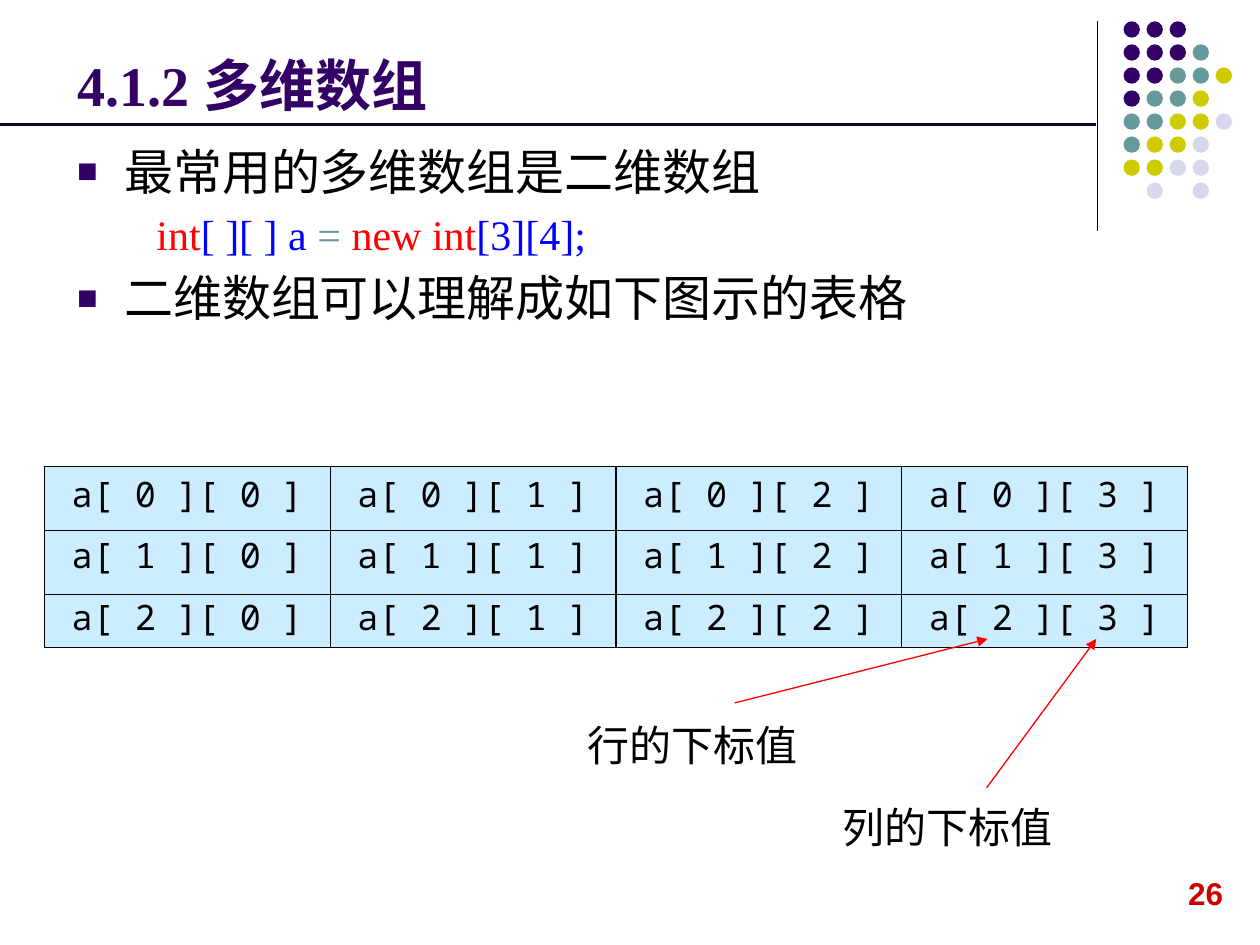
"""Build the slide on multidimensional arrays."""

from lxml.etree import SubElement
from pptx import Presentation
from pptx.dml.color import RGBColor
from pptx.enum.shapes import MSO_CONNECTOR, MSO_SHAPE
from pptx.enum.text import MSO_ANCHOR, MSO_AUTO_SIZE, PP_ALIGN
from pptx.oxml.ns import qn
from pptx.util import Cm, Pt

COLORS = {
    "purple": "330066", "teal": "669999", "olive": "CCCC00", "lavender": "D8D8EC",
    "black": "000000", "rule": "190033", "cell": "CCECFF",
    "red": "FF0000", "blue": "0000FF", "number": "CC0000",
}
SERIF, SANS, MONO, CHINESE = "Times New Roman", "Arial", "Noto Sans Mono", "Noto Sans CJK SC"
DOT_ROWS = ["PPP", "PPPT", "PPTTY", "PTTY", "TTYYL", "TYYL", "YYLL", " L L"]
DOT_COLORS = {"P": "purple", "T": "teal", "Y": "olive", "L": "lavender"}
CODE = [("int", "red"), ("[ ][ ] a ", "blue"), ("= ", "teal"), ("new int", "red"), ("[3][4];", "blue")]


class SlideBuilder:
    def __init__(self, presentation):
        self.slide = presentation.slides.add_slide(presentation.slide_layouts[1])

    def color(self, name):
        return RGBColor.from_string(COLORS[name])

    def style(self, paragraph, size, name, color=None, bold=False):
        font = paragraph.font
        font.size, font.name, font.bold = Pt(size), name, bold
        if color:
            font.color.rgb = self.color(color)
        SubElement(font._element, qn("a:ea"), typeface=CHINESE)

    def place(self, shape, left, top, width, height):
        shape.left, shape.top, shape.width, shape.height = Cm(left), Cm(top), Cm(width), Cm(height)
        shape.text_frame.auto_size = MSO_AUTO_SIZE.NONE

    def title(self, text):
        title = self.slide.shapes.title
        self.place(title, 1.3, 0.5, 20.96, 2.01)
        title.text_frame.vertical_anchor = MSO_ANCHOR.BOTTOM
        paragraph = title.text_frame.paragraphs[0]
        paragraph.alignment = PP_ALIGN.LEFT
        self.style(paragraph, 32, SERIF, "purple", True)
        paragraph.add_run().text = text

    def body(self, items):
        body = self.slide.placeholders[1]
        self.place(body, 1.3, 2.72, 22.86, 14.4)
        for index, item in enumerate(items):
            frame = body.text_frame
            paragraph = frame.add_paragraph() if index else frame.paragraphs[0]
            paragraph.space_before = Pt(5 if index else 0)
            if isinstance(item, str):
                self.bullet(paragraph)
                self.style(paragraph, 28, SERIF, "black")
                paragraph.add_run().text = item
            else:
                self.code(paragraph, item)

    def bullet(self, paragraph):
        properties = paragraph._p.get_or_add_pPr()
        properties.set("marL", str(Cm(0.95)))
        properties.set("indent", str(Cm(-0.95)))
        bullet_color = SubElement(properties, qn("a:buClr"))
        SubElement(bullet_color, qn("a:srgbClr"), val=COLORS["purple"])
        SubElement(properties, qn("a:buSzPct"), val="70000")
        SubElement(properties, qn("a:buFont"), typeface=SANS)
        SubElement(properties, qn("a:buChar"), char="■")

    def code(self, paragraph, pieces):
        paragraph.level = 1
        properties = paragraph._p.get_or_add_pPr()
        properties.set("marL", str(Cm(1.6)))
        properties.set("indent", "0")
        SubElement(properties, qn("a:buNone"))
        self.style(paragraph, 24, SERIF)
        for text, color in pieces:
            run = paragraph.add_run()
            run.text = text
            run.font.color.rgb = self.color(color)

    def shape(self, kind, left, top, width, height, fill, line=None):
        shape = self.slide.shapes.add_shape(kind, Cm(left), Cm(top), Cm(width), Cm(height))
        shape.shadow.inherit = False
        shape.fill.solid()
        shape.fill.fore_color.rgb = self.color(fill)
        if line:
            shape.line.color.rgb = self.color(line)
            shape.line.width = Pt(0.75)
        else:
            shape.line.fill.background()
        return shape

    def array_column(self, left, top, width, height, texts):
        column = self.shape(MSO_SHAPE.RECTANGLE, left, top, width, height, "cell", "black")
        frame = column.text_frame
        frame.word_wrap = True
        frame.vertical_anchor = MSO_ANCHOR.TOP
        for index, text in enumerate(texts):
            paragraph = frame.add_paragraph() if index else frame.paragraphs[0]
            paragraph.alignment = PP_ALIGN.CENTER
            paragraph.space_before = Pt(11 if index else 0)
            self.style(paragraph, 20, MONO, "black")
            paragraph.add_run().text = text

    def label(self, text, left, top, width, height, size, name, color, bold=False):
        box = self.slide.shapes.add_textbox(Cm(left), Cm(top), Cm(width), Cm(height))
        box.text_frame.word_wrap = False
        paragraph = box.text_frame.paragraphs[0]
        self.style(paragraph, size, name, color, bold)
        paragraph.add_run().text = text

    def line(self, start, end, color, width=0.75, arrow=False):
        points = [Cm(value) for value in (*start, *end)]
        connector = self.slide.shapes.add_connector(MSO_CONNECTOR.STRAIGHT, *points)
        connector.line.color.rgb = self.color(color)
        connector.line.width = Pt(width)
        if arrow:
            SubElement(connector.line._get_or_add_ln(), qn("a:tailEnd"), type="triangle")
        SubElement(connector._element.spPr, qn("a:effectLst"))


def main():
    presentation = Presentation()
    presentation.slide_width, presentation.slide_height = Cm(25.4), Cm(19.05)
    builder = SlideBuilder(presentation)

    builder.line((22.12, 0.43), (22.12, 4.65), "black")
    dot_pitch = 3.25 / (len(DOT_ROWS) - 1)
    for row, dots in enumerate(DOT_ROWS):
        for column, dot in enumerate(dots):
            if dot in DOT_COLORS:
                builder.shape(MSO_SHAPE.OVAL, 22.65 + dot_pitch * column, 0.43 + dot_pitch * row,
                              0.33, 0.33, DOT_COLORS[dot])
    builder.label("26", 23.7, 17.5, 1.22, 1.02, 18, SANS, "number", True)

    builder.title("4.1.2 多维数组")
    builder.body(["最常用的多维数组是二维数组", CODE, "二维数组可以理解成如下图示的表格"])

    top, width, row_height = 9.4, 5.76, 1.29
    for column in range(4):
        left = 0.9 + width * column
        texts = [f"a[ {row} ][ {column} ]" for row in range(3)]
        builder.array_column(left, top, width, 3.66, texts)
        for row in (1, 2):
            divider = top + row_height * row
            builder.line((left, divider), (left + width, divider), "black")

    builder.label("行的下标值", 11.6, 14.38, 4.78, 1.27, 24, CHINESE, "black")
    builder.label("列的下标值", 16.74, 16.03, 4.78, 1.27, 24, CHINESE, "black")
    builder.line((14.81, 14.17), (19.91, 12.88), "red", arrow=True)
    builder.line((19.89, 15.88), (22.1, 12.88), "red", arrow=True)
    builder.line((0, 2.51), (22.1, 2.51), "rule", 2.25)
    presentation.save("out.pptx")


if __name__ == "__main__":
    main()
